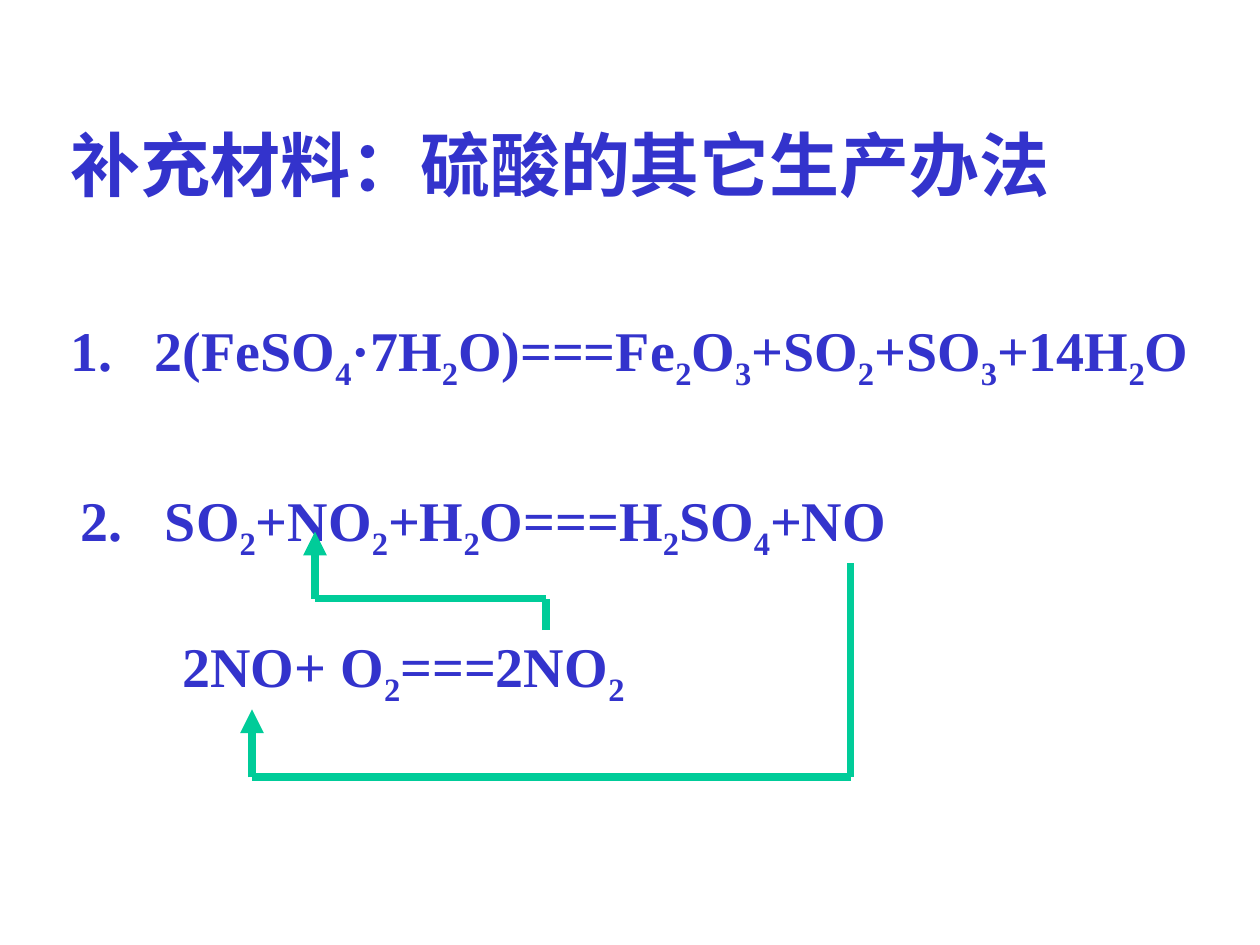
"""Build a slide on other ways of making sulfuric acid."""
from lxml import etree
from pptx import Presentation
from pptx import util as u
from pptx.dml.color import RGBColor
from pptx.enum import shapes, text
from pptx.oxml.ns import qn

HUES = {"text": "3333CC", "line": "00CC99"}
FONT = "Times New Roman"


def style(run, size):
    run.font.name = FONT
    run.font.size = u.Pt(size)
    run.font.bold = True
    run.font.color.rgb = RGBColor.from_string(HUES["text"])


def setup(shape, align):
    frame = shape.text_frame
    frame.word_wrap = False
    frame.auto_size = text.MSO_AUTO_SIZE.NONE
    frame.vertical_anchor = text.MSO_ANCHOR.MIDDLE
    para = frame.paragraphs[0]
    para.alignment = align
    return para


deck = Presentation()
deck.slide_width, deck.slide_height = u.Inches(10), u.Inches(7.5)
slide = deck.slides.add_slide(deck.slide_layouts[5])

title = slide.shapes.title
title.left, title.top = u.Inches(0.46), u.Inches(0.91)
title.width, title.height = u.Inches(7.97), u.Inches(0.77)
title.text_frame.text = "补充材料：硫酸的其它生产办法"
para = setup(title, text.PP_ALIGN.CENTER)
style(para.runs[0], 40)

rows = [
    (0.46, 2.45, 9.07, "1.\t2(FeSO_4·7H_2O)===Fe_2O_3+SO_2+SO_3+14H_2O"),
    (0.54, 3.8, 6.59, "2.\tSO_2+NO_2+H_2O===H_2SO_4+NO"),
    (1.35, 4.96, 3.71, "2NO+ O_2===2NO_2"),
]
for left, top, width, words in rows:
    box = slide.shapes.add_textbox(
        u.Inches(left), u.Inches(top), u.Inches(width), u.Inches(0.71))
    para = setup(box, text.PP_ALIGN.LEFT)
    tabs = etree.SubElement(para._p.get_or_add_pPr(), qn("a:tabLst"))
    etree.SubElement(tabs, qn("a:tab"), pos=str(u.Inches(0.67)), algn="l")
    head, *tail = words.split("_")
    parts = [(head, False)]
    for part in tail:
        parts += [(part[0], True), (part[1:], False)]
    for part, low in parts:
        if part:
            run = para.add_run()
            run.text = part
            style(run, 32)
            if low:
                run.font._element.set("baseline", "-25000")

routes = [
    [(6.75, 4.47), (6.75, 6.17), (2, 6.17), (2, 5.63)],
    [(4.33, 5), (4.33, 4.75), (2.5, 4.75), (2.5, 4.22)],
]
for route in routes:
    for start, end in zip(route, route[1:]):
        line = slide.shapes.add_connector(
            shapes.MSO_CONNECTOR.STRAIGHT, *map(u.Inches, start + end))
        line.line.width = u.Pt(4.5)
        line.line.color.rgb = RGBColor.from_string(HUES["line"])
        if end == route[-1]:
            etree.SubElement(line.line._get_or_add_ln(), qn("a:tailEnd"), type="triangle")
        etree.SubElement(line._element.spPr, qn("a:effectLst"))

deck.save("out.pptx")
